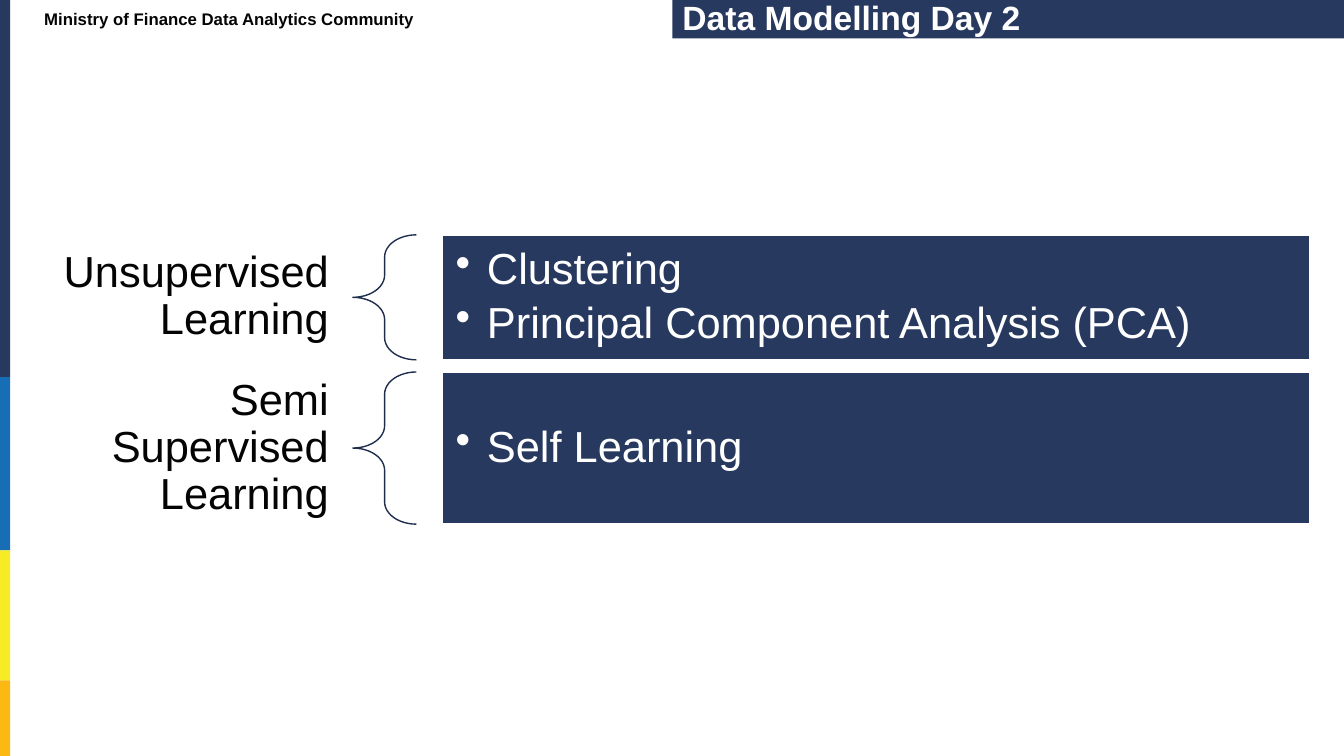
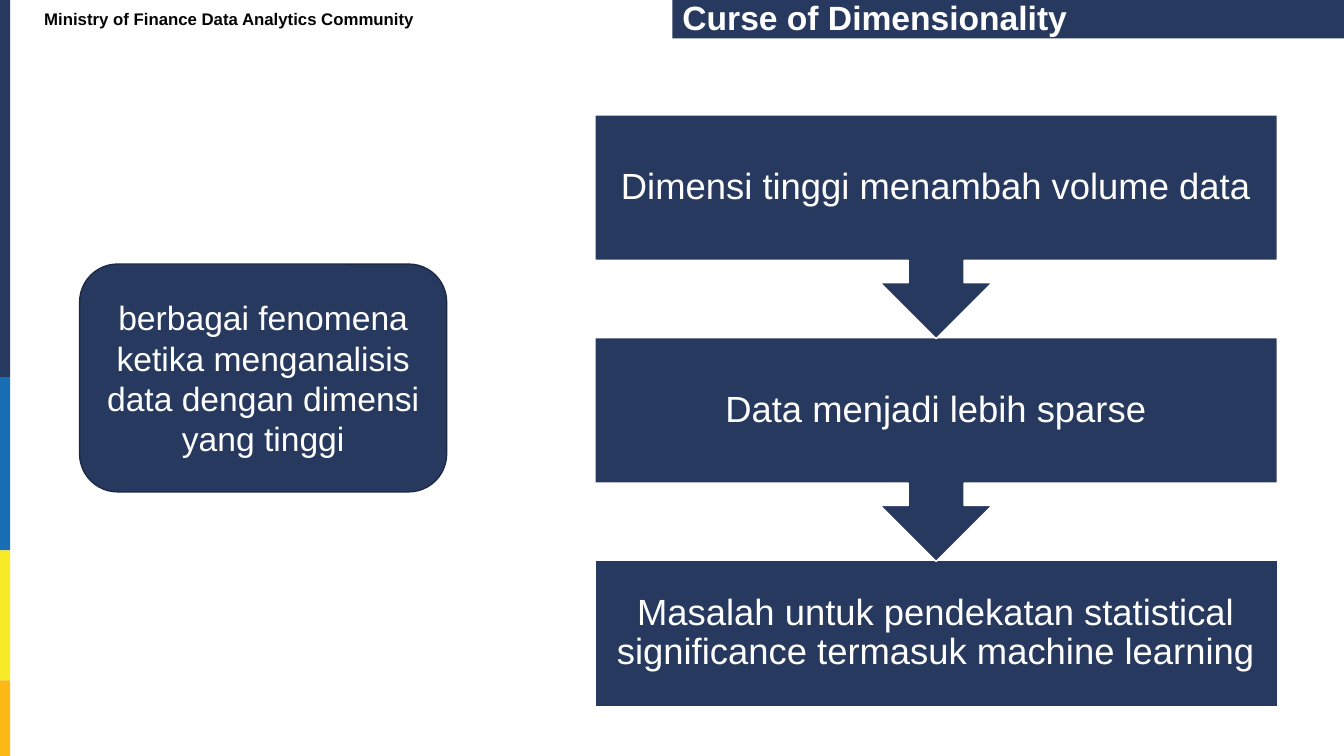
"""Build two slides on learning types and the curse of dimensionality."""
from dataclasses import dataclass
from itertools import accumulate

from lxml import etree
from pptx import Presentation
from pptx.dml.color import RGBColor
from pptx.enum.shapes import MSO_SHAPE
from pptx.enum.text import MSO_ANCHOR, PP_ALIGN
from pptx.oxml.ns import qn
from pptx.util import Inches, Pt

RECT, ROUNDED = MSO_SHAPE.RECTANGLE, MSO_SHAPE.ROUNDED_RECTANGLE
BRACE, CALLOUT = MSO_SHAPE.LEFT_BRACE, MSO_SHAPE.DOWN_ARROW_CALLOUT
LEFT, CENTER, RIGHT = PP_ALIGN.LEFT, PP_ALIGN.CENTER, PP_ALIGN.RIGHT
MIDDLE = MSO_ANCHOR.MIDDLE


@dataclass(frozen=True)
class Theme:
    font: str = "Arial"
    navy: str = "27395F"
    blue: str = "176EB4"
    yellow: str = "F7EB25"
    orange: str = "FCB813"
    white: str = "FFFFFF"
    ink: str = "040404"
    brace_line: str = "1F2E4C"
    card_line: str = "1D2A46"
    header_size: int = 12
    title_size: int = 24
    step_size: int = 26
    topic_size: int = 31


THEME = Theme()
HEADER = "Ministry of Finance Data Analytics Community"
BANDS = [(THEME.navy, 3.74), (THEME.blue, 1.72), (THEME.yellow, 1.29), (THEME.orange, 0.75)]

LEARNING_TITLE = "Data Modelling Day 2"
LEARNING = [
    ("Unsupervised Learning", ["Clustering", "Principal Component Analysis (PCA)"], 1.24),
    ("Semi Supervised Learning", ["Self Learning"], 1.51),
]
LEARNING_TOP, LEARNING_GAP = 2.33, 0.12

CURSE_TITLE = "Curse of Dimensionality"
DEFINITION = "berbagai fenomena ketika menganalisis data dengan dimensi yang tinggi"
STEPS = [
    "Dimensi tinggi menambah volume data",
    "Data menjadi lebih sparse",
    "Masalah untuk pendekatan statistical significance termasuk machine learning",
]
STEP_TOP, STEP_PITCH, STEP_HEIGHT, CALLOUT_HEIGHT = 1.14, 2.21, 1.45, 2.22


def add_box(page, kind, area, fill=None, line=None):
    box = page.shapes.add_shape(kind, *map(Inches, area))
    box.shadow.inherit = False
    if fill:
        box.fill.solid()
        box.fill.fore_color.rgb = RGBColor.from_string(fill)
    else:
        box.fill.background()
    if line:
        box.line.color.rgb = RGBColor.from_string(line)
        box.line.width = Pt(1)
    else:
        box.line.fill.background()
    return box


def add_bullet(para):
    properties = para._p.get_or_add_pPr()
    properties.set("marL", str(Inches(0.31)))
    properties.set("indent", str(-Inches(0.31)))
    etree.SubElement(properties, qn("a:buChar")).set("char", "•")


def write(box, lines, size, color, align=LEFT, bold=False, insets=(0.1, 0.05),
          spacing=1.0, bullets=False):
    frame = box.text_frame
    frame.word_wrap = True
    frame.vertical_anchor = MIDDLE
    frame.margin_left = frame.margin_right = Inches(insets[0])
    frame.margin_top = frame.margin_bottom = Inches(insets[1])
    for index, line in enumerate(lines):
        para = frame.add_paragraph() if index else frame.paragraphs[0]
        para.text = line
        if bullets:
            add_bullet(para)
            para.space_after = Pt(5)
        para.alignment = align
        para.line_spacing = spacing
        para.font.name = THEME.font
        para.font.size = Pt(size)
        para.font.bold = bold
        para.font.color.rgb = RGBColor.from_string(color)


def add_label(page, area, text, size, **style):
    box = page.shapes.add_textbox(*map(Inches, area))
    write(box, [text], size, THEME.ink, **style)


def add_page(deck, title):
    page = deck.slides.add_slide(deck.slide_layouts[6])
    bottoms = accumulate(height for _, height in BANDS)
    for (color, height), bottom in zip(BANDS, bottoms):
        add_box(page, RECT, (0, bottom - height, 0.1, height), color)
    title_bar = add_box(page, RECT, (6.67, 0, 6.67, 0.38), THEME.navy)
    write(title_bar, [title], THEME.title_size, THEME.white, bold=True,
          insets=(0.1, 0), spacing=0.9)
    add_label(page, (0.34, 0.07, 4.53, 0.23), HEADER, THEME.header_size, bold=True)
    return page


def add_learning_page(deck):
    page = add_page(deck, LEARNING_TITLE)
    top = LEARNING_TOP
    for topic, methods, height in LEARNING:
        add_label(page, (0.34, top, 3.16, height), topic, THEME.topic_size,
                  align=RIGHT, insets=(0.24, 0.09), spacing=0.9)
        brace = add_box(page, BRACE, (3.5, top, 0.63, height), line=THEME.brace_line)
        brace.adjustments[0] = 0.35
        panel = add_box(page, RECT, (4.39, top, 8.6, height), THEME.navy, THEME.white)
        write(panel, methods, THEME.topic_size, THEME.white,
              insets=(0.13, 0.13), spacing=0.9, bullets=True)
        top += height + LEARNING_GAP


def add_curse_page(deck):
    page = add_page(deck, CURSE_TITLE)
    card = add_box(page, ROUNDED, (0.79, 2.62, 3.64, 2.26), THEME.navy, THEME.card_line)
    write(card, [DEFINITION], THEME.title_size, THEME.white, CENTER)
    last = len(STEPS) - 1
    for index, step in reversed(list(enumerate(STEPS))):
        kind, height = (RECT, STEP_HEIGHT) if index == last else (CALLOUT, CALLOUT_HEIGHT)
        area = (5.9, STEP_TOP + index * STEP_PITCH, 6.77, height)
        box = add_box(page, kind, area, THEME.navy, THEME.white)
        write(box, [step], THEME.step_size, THEME.white, CENTER,
              insets=(0.2, 0.2), spacing=0.9)


def main():
    deck = Presentation()
    deck.slide_width, deck.slide_height = Inches(13.33), Inches(7.5)
    add_learning_page(deck)
    add_curse_page(deck)
    deck.save("out.pptx")


if __name__ == "__main__":
    main()
